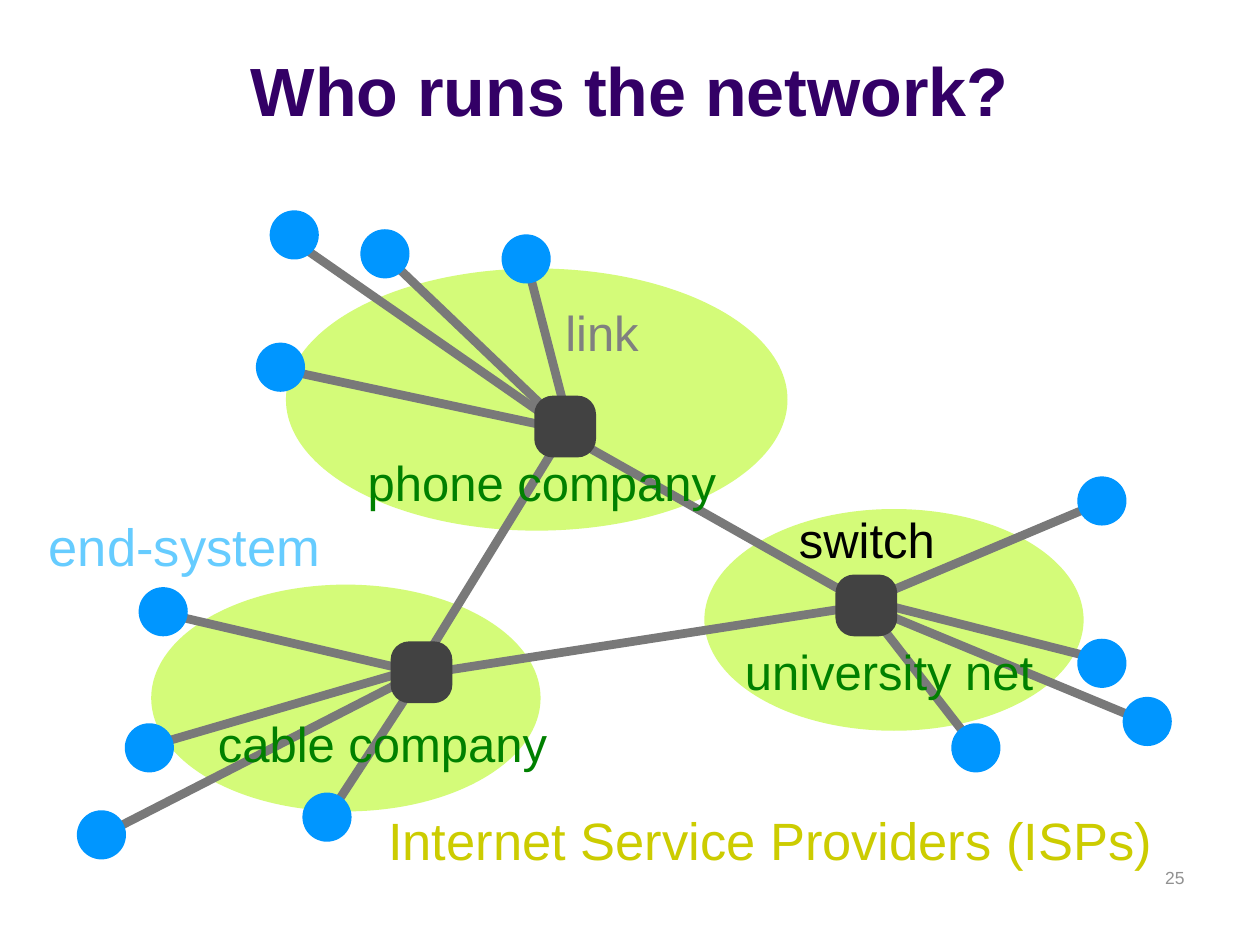
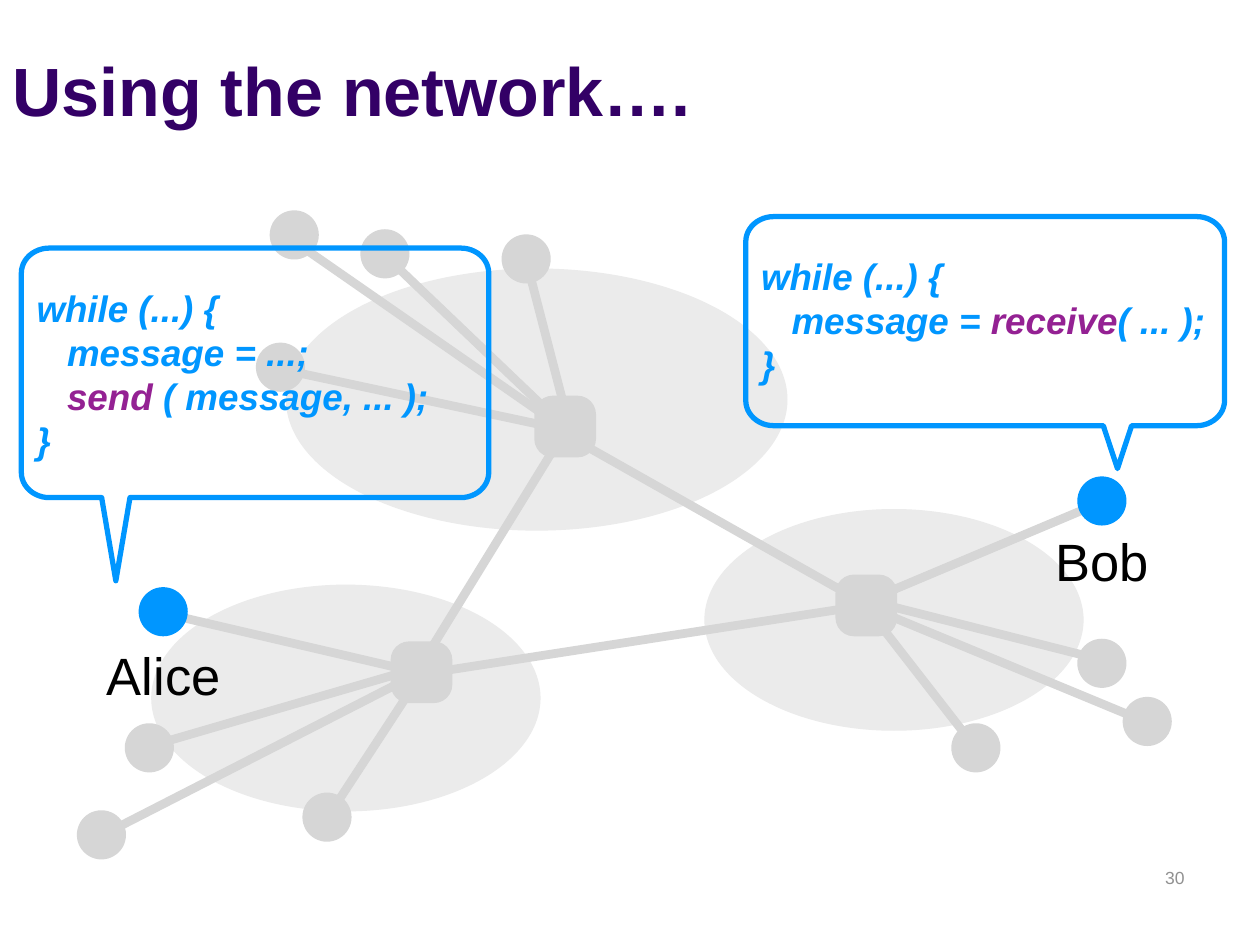
from dataclasses import dataclass
from math import cos, pi, sin

from lxml.etree import SubElement
from pptx import Presentation
from pptx.dml.color import RGBColor
from pptx.enum.shapes import MSO_CONNECTOR as Line, MSO_SHAPE as Shape
from pptx.enum.text import MSO_ANCHOR as Anchor, MSO_AUTO_SIZE as AutoSize, PP_ALIGN as Align
from pptx.oxml.ns import qn
from pptx.util import Pt


@dataclass(frozen=True)
class Theme:
    font: str = "Arial"
    title: str = "330066"
    number: str = "919191"
    black: str = "000000"
    link_label: str = "808080"
    system_label: str = "66CCFF"
    provider: str = "008000"
    isp: str = "CCCC00"
    active: str = "0096FF"
    call: str = "942193"
    title_size: int = 39
    large: int = 30
    medium: int = 28
    code: int = 21
    small: int = 10


@dataclass(frozen=True)
class Palette:
    area: str
    link: str
    switch: str
    host: str


THEME = Theme()
COLORED = Palette("D4FB79", "797979", "424242", THEME.active)
FADED = Palette("EBEBEB", "D6D6D6", "D6D6D6", "D6D6D6")

HOST_SIZE = 28.1
SWITCH_SIZE = 35.3
LINK_WIDTH = 5
CALLOUT_WIDTH = 3
CORNER = (16, 14.4)
TAIL_HALF = 8.1
ARC_STEPS = 12
INSET = 2.9

NETWORKS = [
    {
        "area": (402.5, 290.9, 216.7, 126.7),
        "switch": (477.4, 328.3),
        "hosts": {
            "Bob": (615.6, 272.2), "south": (543.6, 413.3),
            "east": (615.6, 365), "far east": (641.5, 398.2),
        },
        "links": [
            (628.6, 287.3, 491.8, 344.9), (556.6, 426.2, 496.8, 349.2),
            (627.8, 376.6, 496.8, 343.4), (656.6, 413.3, 493.2, 345.6),
        ],
    },
    {
        "area": (163.4, 153.4, 286.6, 149.8),
        "switch": (305.3, 226.1),
        "hosts": {
            "west": (146.2, 195.8), "northwest": (154.1, 120.2),
            "north": (205.9, 131), "northeast": (286.6, 133.9),
        },
        "links": [
            (160.6, 211, 319, 244.8), (168.5, 138.2, 316.8, 241.2),
            (220.3, 146.2, 319, 240.5), (301.7, 152.6, 326.2, 247),
        ],
    },
    {
        "area": (86.4, 334.1, 222.5, 129.6),
        "switch": (223.2, 366.5),
        "hosts": {
            "Alice": (79.2, 335.5), "south": (172.8, 452.9),
            "west": (71.3, 413.3), "southwest": (43.9, 463),
        },
        "links": [
            (91.4, 349.9, 236.9, 383.8), (189.4, 463.7, 239.8, 386.6),
            (83.5, 427, 236.9, 382.3), (55.4, 478.8, 235.4, 386.6),
        ],
    },
]
TRUNKS = [
    (318.2, 245.5, 495.4, 345.6),
    (323.3, 245.5, 240.5, 380.2),
    (496.8, 345.6, 241.2, 385.2),
]

LABELS = [
    ("end-system", (21.6, 290.9, 164.2, 41.8), THEME.large, THEME.system_label, Align.RIGHT),
    ("switch", (452.9, 288, 84.2, 39.6), THEME.medium, THEME.black, Align.RIGHT),
    ("link", (319.7, 169.9, 48.2, 39.6), THEME.medium, THEME.link_label, Align.RIGHT),
    ("Internet Service Providers (ISPs)", (211, 458.6, 458.6, 41.8),
     THEME.large, THEME.isp, Align.CENTER),
    ("phone company", (151.9, 255.6, 315.4, 39.6), THEME.medium, THEME.provider, Align.CENTER),
    ("cable company", (87.1, 404.6, 262.8, 39.6), THEME.medium, THEME.provider, Align.CENTER),
    ("university net", (344.2, 363.6, 327.6, 39.6), THEME.medium, THEME.provider, Align.CENTER),
]

SPEAKERS = [
    {
        "name": "Alice",
        "name_box": (11.5, 364.3, 164.2, 42.5),
        "bubble": (12.2, 141.8, 267.1, 142.6),
        "tip": (66.2, 331.9),
        "code_box": (18, 159.8, 254.2, 107.3),
        "code": [["while (...) {"], ["   message = ...;"],
                 ["   send ", "( message, ... );"], ["}"]],
    },
    {
        "name": "Bob",
        "name_box": (547.9, 298.8, 164.2, 42.5),
        "bubble": (426.2, 123.8, 273.6, 119.5),
        "tip": (638.6, 267.8),
        "code_box": (432, 141.8, 264.2, 82.1),
        "code": [["while (...) {"], ["   message = ", "receive", "( ... );"], ["}"]],
    },
]
CALLS = ("send", "receive")


def points(values):
    return [Pt(value) for value in values]


def rgb(color):
    return RGBColor.from_string(color)


def style(run, size, color, bold=False, italic=False):
    font = run.font
    font.name, font.size, font.bold, font.italic = THEME.font, Pt(size), bold, italic
    font.color.rgb = rgb(color)


def add_box(slide, box, anchor=Anchor.MIDDLE, inset=INSET, wrap=True):
    frame = slide.shapes.add_textbox(*points(box)).text_frame
    frame.word_wrap = wrap
    frame.vertical_anchor = anchor
    frame.margin_left = frame.margin_right = Pt(inset)
    frame.margin_top = frame.margin_bottom = Pt(min(inset, 3.6))
    return frame


def add_label(slide, text, box, size, color, align, **layout):
    frame = add_box(slide, box, **layout)
    frame.text = text
    frame.paragraphs[0].alignment = align
    style(frame.paragraphs[0].runs[0], size, color)


def add_solid(slide, kind, box, color):
    solid = slide.shapes.add_shape(kind, *points(box))
    solid.shadow.inherit = False
    solid.fill.solid()
    solid.fill.fore_color.rgb = rgb(color)
    solid.line.fill.background()
    return solid


def add_link(slide, ends, color):
    link = slide.shapes.add_connector(Line.STRAIGHT, *points(ends))
    link.line.color.rgb = rgb(color)
    link.line.width = Pt(LINK_WIDTH)
    SubElement(link._element.spPr, qn("a:effectLst"))


def draw_network(slide, palette, active=()):
    for network in NETWORKS:
        add_solid(slide, Shape.OVAL, network["area"], palette.area)
    for ends in TRUNKS + [ends for network in NETWORKS for ends in network["links"]]:
        add_link(slide, ends, palette.link)
    for network in NETWORKS:
        for host, corner in network["hosts"].items():
            color = THEME.active if host in active else palette.host
            add_solid(slide, Shape.OVAL, (*corner, HOST_SIZE, HOST_SIZE), color)
        switch = add_solid(slide, Shape.ROUNDED_RECTANGLE,
                           (*network["switch"], SWITCH_SIZE, SWITCH_SIZE), palette.switch)
        switch.adjustments[0] = 0.3


def bubble_outline(box, tip):
    left, top, width, height = box
    right, bottom = left + width, top + height
    rx, ry = CORNER

    def arc(cx, cy, start):
        angles = [start + pi / 2 * step / ARC_STEPS for step in range(ARC_STEPS + 1)]
        return [(cx + rx * cos(angle), cy + ry * sin(angle)) for angle in angles]

    return [
        *arc(left + rx, top + ry, pi),
        *arc(right - rx, top + ry, 1.5 * pi),
        *arc(right - rx, bottom - ry, 0),
        (tip[0] + TAIL_HALF, bottom), tip, (tip[0] - TAIL_HALF, bottom),
        *arc(left + rx, bottom - ry, pi / 2),
    ]


def add_bubble(slide, box, tip):
    start, *rest = [points(corner) for corner in bubble_outline(box, tip)]
    builder = slide.shapes.build_freeform(*start)
    builder.add_line_segments(rest, close=True)
    bubble = builder.convert_to_shape()
    bubble.shadow.inherit = False
    bubble.fill.background()
    bubble.line.color.rgb = rgb(THEME.active)
    bubble.line.width = Pt(CALLOUT_WIDTH)


def add_code(slide, lines, box):
    frame = add_box(slide, box)
    for index, pieces in enumerate(lines):
        paragraph = frame.add_paragraph() if index else frame.paragraphs[0]
        for piece in pieces:
            run = paragraph.add_run()
            run.text = piece
            color = THEME.call if piece.strip() in CALLS else THEME.active
            style(run, THEME.code, color, bold=True, italic=True)


def add_slide(deck, title, number, align):
    slide = deck.slides.add_slide(deck.slide_layouts[5])
    heading = slide.shapes.title
    heading.left, heading.top, heading.width, heading.height = points((0, 9.4, 720, 68.4))
    frame = heading.text_frame
    frame.text = title
    frame.auto_size = AutoSize.NONE
    frame.vertical_anchor = Anchor.BOTTOM
    frame.paragraphs[0].alignment = align
    style(frame.paragraphs[0].runs[0], THEME.title_size, THEME.title, bold=True)
    add_label(slide, number, (516.2, 491.8, 167.8, 36), THEME.small, THEME.number,
              Align.RIGHT, anchor=Anchor.TOP, inset=7.2)
    return slide


def main():
    deck = Presentation()
    deck.slide_width, deck.slide_height = Pt(720), Pt(540)

    owners = add_slide(deck, "Who runs the network?", "25", Align.CENTER)
    draw_network(owners, COLORED)
    for label in LABELS:
        add_label(owners, *label, wrap=label[0] not in ("switch", "link"))

    usage = add_slide(deck, "Using the network….", "30", Align.LEFT)
    draw_network(usage, FADED, [speaker["name"] for speaker in SPEAKERS])
    for speaker in SPEAKERS:
        add_bubble(usage, speaker["bubble"], speaker["tip"])
        add_code(usage, speaker["code"], speaker["code_box"])
        add_label(usage, speaker["name"], speaker["name_box"], THEME.large,
                  THEME.black, Align.CENTER)

    deck.save("out.pptx")


if __name__ == "__main__":
    main()
